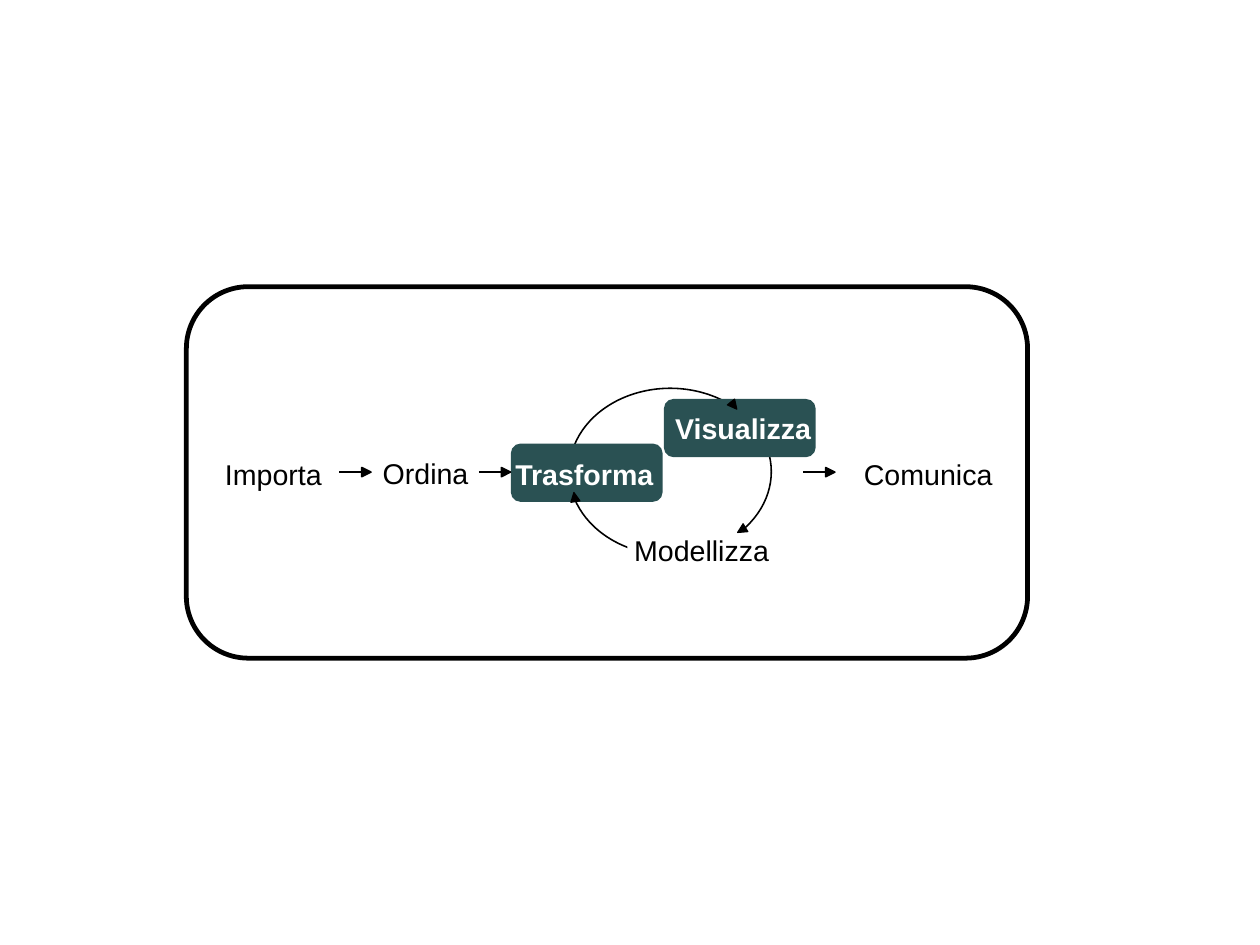
from lxml.etree import SubElement
from pptx import Presentation
from pptx.dml.color import RGBColor
from pptx.enum.shapes import MSO_CONNECTOR, MSO_SHAPE
from pptx.oxml.ns import qn
from pptx.util import Pt

COLORS = {"ink": "000000", "paper": "FFFFFF", "highlight": "2A5153"}
HEAD_SIZE = 5.8
FLOW_Y = 297.4
FLOW_LENGTH = 17


def color(name):
    return RGBColor.from_string(COLORS[name])


def add_figure(slide, preset, box, fill=None, line_width=None):
    figure = slide.shapes.add_shape(preset, *map(Pt, box))
    figure.shadow.inherit = False
    if fill:
        figure.fill.solid()
        figure.fill.fore_color.rgb = color(fill)
    else:
        figure.fill.background()
    if line_width is None:
        figure.line.fill.background()
    else:
        figure.line.color.rgb = color("ink")
        figure.line.width = Pt(line_width)
    return figure


def add_label(slide, text, box, highlighted=False):
    frame = slide.shapes.add_textbox(*map(Pt, box)).text_frame
    frame.word_wrap = True
    step = frame.paragraphs[0]
    step.text = text
    step.font.name = "Arial"
    step.font.size = Pt(18)
    step.font.bold = highlighted
    step.font.color.rgb = color("paper" if highlighted else "ink")


def add_head(slide, left, top, rotation, line_width=0):
    head = add_figure(slide, MSO_SHAPE.ISOSCELES_TRIANGLE,
                      (left, top, HEAD_SIZE, HEAD_SIZE), "ink", line_width)
    head.rotation = rotation


def add_flow_arrow(slide, left):
    shaft = slide.shapes.add_connector(
        MSO_CONNECTOR.STRAIGHT, Pt(left), Pt(FLOW_Y),
        Pt(left + FLOW_LENGTH), Pt(FLOW_Y))
    shaft.line.color.rgb = color("ink")
    shaft.line.width = Pt(1)
    SubElement(shaft._element.spPr, qn("a:effectLst"))
    add_head(slide, left + FLOW_LENGTH - HEAD_SIZE / 2,
             FLOW_Y - HEAD_SIZE / 2, 90, 1)


def add_cycle(slide):
    """Ring through the three looping steps, with gaps at two of them."""
    add_figure(slide, MSO_SHAPE.OVAL, (358.5, 244.6, 127.4, 105.1), line_width=1)
    for gap in ((395.3, 335.5, 79.2, 25.2), (313.2, 283.7, 124.6, 28.8)):
        add_figure(slide, MSO_SHAPE.RECTANGLE, gap, "paper")


def main():
    deck = Presentation()
    deck.slide_width, deck.slide_height = Pt(793.7), Pt(595.28)
    slide = deck.slides.add_slide(deck.slide_layouts[6])

    add_cycle(slide)
    add_figure(slide, MSO_SHAPE.ROUNDED_RECTANGLE,
               (117.4, 180.6, 529.9, 234), line_width=3)
    for left, top in ((321.8, 279.4), (418.2, 251.3)):
        add_figure(slide, MSO_SHAPE.ROUNDED_RECTANGLE,
                   (left, top, 95.6, 36.7), "highlight")

    for text, box, highlighted in (
        ("Importa", (134.6, 284, 85, 47.5), False),
        ("Ordina", (234, 283.7, 86.4, 27.4), False),
        ("Trasforma", (317.5, 284, 103.7, 47.5), True),
        ("Visualizza", (418.2, 255.4, 121.7, 27.4), True),
        ("Modellizza", (392.4, 331.9, 127.4, 27.4), False),
        ("Comunica", (537.1, 284, 139, 47.5), False),
    ):
        add_label(slide, text, box, highlighted)

    for left, top, rotation in ((359.1, 310.2, 350.6), (464.2, 331, 239),
                                (459.4, 252.6, 141.1)):
        add_head(slide, left, top, rotation)
    for left in (213.8, 301.7, 506):
        add_flow_arrow(slide, left)

    deck.save("out.pptx")


if __name__ == "__main__":
    main()
